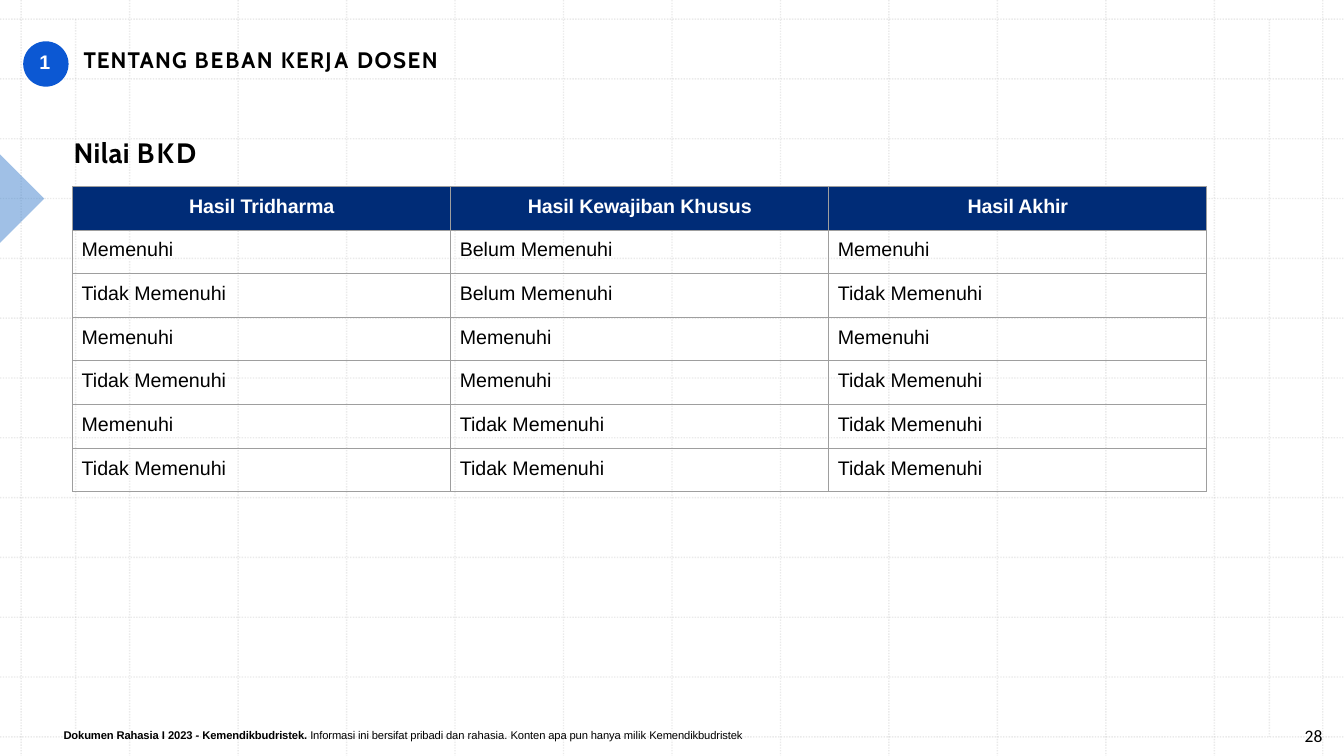
from lxml import etree
from pptx import Presentation
from pptx.dml.color import RGBColor
from pptx.enum import dml, shapes, text
from pptx.oxml import ns
from pptx.util import Inches, Pt

COLORS = {"black": "000000", "white": "FFFFFF", "grid": "BCBCBC", "border": "9E9E9E",
          "header": "002C77", "badge": "0C58D3", "marker": "4283CE"}

# Content: each run is (text, letter spacing in points)
TITLE = [("Nilai ", 0.3), ("BKD", 1.5)]
SECTION = [("TEN", 0.7), ("T", -0.9), ("ANG ", 0.9), ("BE", 1.5), ("B", 1.4), ("AN ", 1.1),
           ("KE", 1), ("R", 0.9), ("J", 1.9), ("A ", 1.3), ("DOSEN", 1.1)]
SECTION_NUMBER = "1"
PAGE_NUMBER = "28"
FOOTER_BOLD = [("Dokumen Rahasia ", -0.1), ("I ", 0), ("2023 ", -0.1), ("-", 0),
               (" Kemendikbudristek. ", -0.1)]
FOOTER_PLAIN = [("Informasi ini bersifat pribadi dan ", -0.1), ("rahasia.", 0),
                (" Konten apa pun hanya ", -0.1), ("milik", 0), (" Kemendikbudristek", -0.1)]
HEADERS = ["Hasil Tridharma", "Hasil Kewajiban Khusus", "Hasil Akhir"]
YES, NO, NOT_YET = "Memenuhi", "Tidak Memenuhi", "Belum Memenuhi"
RESULTS = [(YES, NOT_YET, YES), (NO, NOT_YET, NO), (YES, YES, YES),
           (NO, YES, NO), (YES, NO, NO), (NO, NO, NO)]

# Geometry in inches
WIDTH, HEIGHT = 13.33, 7.5
GRID_STEPS = 12
GRID_LEFT, GRID_RIGHT, GRID_TOP, GRID_BOTTOM = 0.21, 13.12, 0.19, 7.31
MARGIN_GUIDES = (0.75, 12.59)
TABLE = (0.72, 1.85, 11.25, 3.03)

deck = Presentation()
deck.slide_width, deck.slide_height = Inches(WIDTH), Inches(HEIGHT)
page = deck.slides.add_slide(deck.slide_layouts[5])


def color(name):
    return RGBColor.from_string(COLORS[name])


def inches(*values):
    return [Inches(value) for value in values]


def set_alpha(fill_element, percent):
    hue = fill_element.find(".//" + ns.qn("a:srgbClr"))
    etree.SubElement(hue, ns.qn("a:alpha"), val=str(percent * 1000))


def add_runs(para, runs, size, font="Arial", ink="black", bold=False):
    for words, spacing in runs:
        span = para.add_run()
        span.text = words
        span.font.size, span.font.name, span.font.bold = Pt(size), font, bold
        span.font.color.rgb = color(ink)
        span.font._element.set("spc", str(round(spacing * 100)))


def prepare(frame, anchor, top=0.0, indent=0.01):
    frame.word_wrap = True
    frame.auto_size = text.MSO_AUTO_SIZE.NONE
    frame.vertical_anchor = anchor
    frame.margin_left, frame.margin_top = inches(indent, top)
    frame.margin_right = frame.margin_bottom = 0
    para = frame.paragraphs[0]
    para.alignment = text.PP_ALIGN.LEFT
    return para


def add_label(place, anchor=text.MSO_ANCHOR.TOP, top=0.01, indent=0.01):
    box = page.shapes.add_textbox(*inches(*place))
    return prepare(box.text_frame, anchor, top, indent)


def add_grid_line(x1, y1, x2, y2):
    line = page.shapes.add_connector(shapes.MSO_CONNECTOR.STRAIGHT, *inches(x1, y1, x2, y2))
    line.line.color.rgb = color("grid")
    line.line.width = Pt(1)
    line.line.dash_style = dml.MSO_LINE.ROUND_DOT
    properties = line._element.spPr
    set_alpha(properties, 30)
    etree.SubElement(properties, ns.qn("a:effectLst"))


def add_solid(kind, place, fill):
    shape = page.shapes.add_shape(kind, *inches(*place))
    shape.shadow.inherit = False
    shape.fill.solid()
    shape.fill.fore_color.rgb = color(fill)
    shape.line.fill.background()
    return shape


def add_borders(cell):
    properties = cell._tc.get_or_add_tcPr()
    for position, side in enumerate(("lnL", "lnR", "lnT", "lnB")):
        border = etree.Element(ns.qn("a:" + side), w=str(Pt(0.75)))
        fill = etree.SubElement(border, ns.qn("a:solidFill"))
        etree.SubElement(fill, ns.qn("a:srgbClr"), val=COLORS["border"])
        properties.insert(position, border)


# Background grid
for step in range(GRID_STEPS + 1):
    x = GRID_LEFT + step * (GRID_RIGHT - GRID_LEFT) / GRID_STEPS
    y = GRID_TOP + step * (GRID_BOTTOM - GRID_TOP) / GRID_STEPS
    add_grid_line(x, 0, x, HEIGHT)
    add_grid_line(0, y, WIDTH, y)
for x in MARGIN_GUIDES:
    add_grid_line(x, GRID_TOP, x, GRID_BOTTOM)

# Left edge marker
marker = add_solid(shapes.MSO_SHAPE.RIGHT_TRIANGLE, (-0.31, 1.66, 0.62, 0.62), "marker")
marker.rotation = 225
set_alpha(marker._element.spPr, 50)

# Title, brought in front of the grid
title = page.shapes.title
title.left, title.top, title.width, title.height = inches(0.72, 1.32, 1.27, 0.36)
add_runs(prepare(title.text_frame, text.MSO_ANCHOR.BOTTOM, 0.01), TITLE, 20, "Cabin", bold=True)
page.shapes._spTree.append(title._element)

# Results table
rows = [HEADERS] + RESULTS
frame = page.shapes.add_table(len(rows), len(HEADERS), *inches(*TABLE))
table = frame.table
table.first_row = table.horz_banding = False
for row_index, row in enumerate(rows):
    is_header = row_index == 0
    for column_index, words in enumerate(row):
        cell = table.cell(row_index, column_index)
        cell.margin_left = Inches(0 if is_header else 0.09)
        cell.margin_top = Inches(0.09)
        cell.margin_right = cell.margin_bottom = 0
        para = cell.text_frame.paragraphs[0]
        if is_header:
            cell.fill.solid()
            cell.fill.fore_color.rgb = color("header")
            para.alignment = text.PP_ALIGN.CENTER
            add_runs(para, [(words, -0.1)], 14, ink="white", bold=True)
        else:
            cell.fill.background()
            add_runs(para, [(words, 0)], 14)
        add_borders(cell)

# Section heading with its number badge
add_solid(shapes.MSO_SHAPE.OVAL, (0.23, 0.41, 0.45, 0.45), "badge")
add_runs(add_label((0.38, 0.49, 0.14, 0.26)), [(SECTION_NUMBER, 0)], 14, ink="white", bold=True)
add_runs(add_label((0.82, 0.45, 3.6, 0.29)), SECTION, 16, "Cabin", bold=True)

# Footer and page number
number = add_label((12.9, 7.21, 0.26, 0.2), text.MSO_ANCHOR.MIDDLE, 0, 0.04)
number.line_spacing = Pt(13)
add_runs(number, [(PAGE_NUMBER, 0.1)], 12.5, "Calibri")
footer = add_label((0.62, 7.22, 6.95, 0.15), text.MSO_ANCHOR.MIDDLE, 0)
add_runs(footer, FOOTER_BOLD, 8, bold=True)
add_runs(footer, FOOTER_PLAIN, 8)

deck.save("out.pptx")
